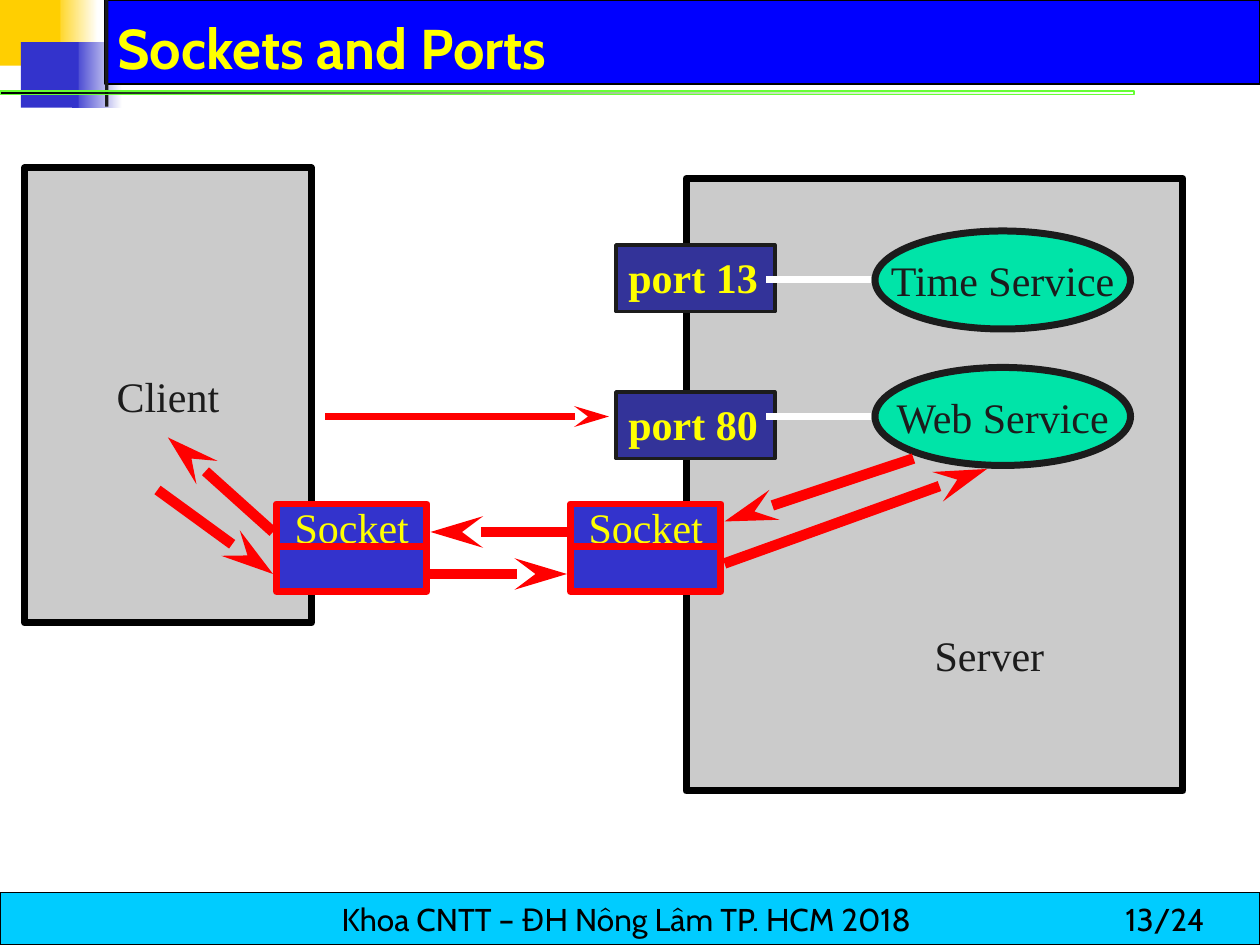
from lxml.etree import SubElement
from pptx import Presentation
from pptx.dml.color import RGBColor
from pptx.enum.shapes import MSO_CONNECTOR as Connector, MSO_SHAPE as Shape
from pptx.enum.text import MSO_ANCHOR as Anchor, PP_ALIGN as Align
from pptx.oxml.ns import qn
from pptx.util import Inches, Pt

COLUMNS, ROWS = 360, 270
WIDTH, HEIGHT = Inches(10), Inches(7.5)
SERIF, SANS = "Times New Roman", "Cabin"

BLACK = RGBColor(0x00, 0x00, 0x00)
WHITE = RGBColor(0xFF, 0xFF, 0xFF)
INK = RGBColor(0x1C, 0x1C, 0x1C)
GREY = RGBColor(0xCB, 0xCB, 0xCB)
RED = RGBColor(0xFF, 0x00, 0x00)
YELLOW = RGBColor(0xFF, 0xFF, 0x00)
GOLD = RGBColor(0xFF, 0xCF, 0x01)
BLUE = RGBColor(0x00, 0x00, 0xFF)
INDIGO = RGBColor(0x33, 0x33, 0xCC)
NAVY = RGBColor(0x33, 0x33, 0x99)
CYAN = RGBColor(0x00, 0xCC, 0xFF)
MINT = RGBColor(0x00, 0xE4, 0xA8)
LIME = RGBColor(0x66, 0xFF, 0x33)


def across(column):
    return round(WIDTH * column / COLUMNS)


def down(row):
    return round(HEIGHT * row / ROWS)


def place(column, row, columns, rows):
    return across(column), down(row), across(columns), down(rows)


def add_box(page, area, fill=None, line=None, weight=4, kind=Shape.RECTANGLE):
    box = page.shapes.add_shape(kind, *place(*area))
    box.shadow.inherit = False
    if fill is not None:
        box.fill.solid()
        box.fill.fore_color.rgb = fill
    if line is None:
        box.line.fill.background()
    else:
        box.line.color.rgb = line
        box.line.width = Pt(weight)
    return box


def add_fade(page, area, start, end, line=None):
    box = add_box(page, area, line=line, weight=0)
    box.fill.gradient()
    box.fill.gradient_angle = 0
    for stop, color, position in zip(box.fill.gradient_stops, (start, end), (0, 1)):
        stop.color.rgb = color
        stop.position = position
    return box


def clear_fade_end(box):
    color = box._element.xpath(".//a:gs[last()]/a:srgbClr")[0]
    SubElement(color, qn("a:alpha")).set("val", "0")


def write(box, text, color=INK, size=24, font=SERIF, bold=False,
          align=Align.CENTER, anchor=Anchor.MIDDLE, wrap=False):
    frame = box.text_frame
    frame.word_wrap = wrap
    frame.vertical_anchor = anchor
    para = frame.paragraphs[0]
    para.alignment = align
    span = para.add_run()
    span.text = text
    span.font.name = font
    span.font.size = Pt(size)
    span.font.bold = bold
    span.font.color.rgb = color


def add_label(page, area, text, **style):
    box = page.shapes.add_textbox(*place(*area))
    write(box, text, align=Align.LEFT, **style)


def add_line(page, start, end, color=RED, weight=6, arrow=True):
    line = page.shapes.add_connector(
        Connector.STRAIGHT, across(start[0]), down(start[1]), across(end[0]), down(end[1]))
    line.line.color.rgb = color
    line.line.width = Pt(weight)
    if arrow:
        head = SubElement(line.line._get_or_add_ln(), qn("a:tailEnd"))
        for key, value in (("type", "stealth"), ("w", "med"), ("len", "lg")):
            head.set(key, value)
    SubElement(line._element.spPr, qn("a:effectLst"))


def add_port(page, row, text):
    box = add_box(page, (176, row, 45.4, 19), NAVY, INK, 2)
    write(box, text, YELLOW, bold=True, align=Align.LEFT, anchor=Anchor.TOP)


def add_service(page, row, text):
    box = add_box(page, (250, row, 73, 28), MINT, INK, kind=Shape.OVAL)
    write(box, text)


def add_socket(page, column):
    write(add_box(page, (column, 144, 43, 13), INDIGO, RED), "Socket", YELLOW)
    add_box(page, (column, 156, 43, 13), INDIGO, RED)


def add_frame(page):
    add_fade(page, (15, 0, 13, 18.75), GOLD, WHITE)
    add_fade(page, (20.5, 12, 14.5, 18.75), INDIGO, WHITE)
    add_box(page, (30, 0, 330, 24), BLUE, BLACK, 0.75)
    add_box(page, (0, 0, 17.25, 18.75), GOLD)
    add_box(page, (6, 12, 16.5, 18.75), INDIGO)
    add_box(page, (30, 0, 1, 30.5), INK)
    clear_fade_end(add_fade(page, (0, 26, 324, 1), BLACK, LIME, LIME))
    footer = add_box(page, (0, 255, 360, 15), CYAN, BLACK, 0.75)
    write(footer, "Khoa CNTT – ĐH Nông Lâm TP. HCM 2018 ", BLACK, 18, SANS)
    add_label(page, (318, 255.5, 42, 14.5), "13/24", color=BLACK, size=18,
              font=SANS, anchor=Anchor.TOP, wrap=True)


def main():
    """Build the slide on sockets and ports."""
    deck = Presentation()
    deck.slide_width, deck.slide_height = WIDTH, HEIGHT
    page = deck.slides.add_slide(deck.slide_layouts[6])
    add_frame(page)
    write(add_box(page, (7, 48, 82, 130), GREY, BLACK), "Client")
    add_label(page, (30, 3, 322, 21), "Sockets and Ports", color=YELLOW,
              size=32, font=SANS, bold=True, wrap=True)
    add_box(page, (196, 51, 142, 175), GREY, BLACK)
    add_label(page, (263.5, 178, 38.5, 18), "Server", anchor=Anchor.TOP)

    for row, text in ((70, "port 13"), (112, "port 80")):
        add_port(page, row, text)
    for row, text in ((66, "Time Service"), (105, "Web Service")):
        add_service(page, row, text)
        add_line(page, (219, row + 14), (249, row + 14), WHITE, 4, arrow=False)
    for column in (79, 163):
        add_socket(page, column)

    add_line(page, (93, 119), (174, 119), weight=4)
    replies = ((261, 131), (207, 149)), ((162, 152), (123, 152)), ((78, 152), (48, 125))
    requests = ((45, 140), (78, 164)), ((123, 164), (162, 164)), ((207, 161), (282, 134))
    for start, end in replies + requests:
        add_line(page, start, end)
    deck.save("out.pptx")


if __name__ == "__main__":
    main()
